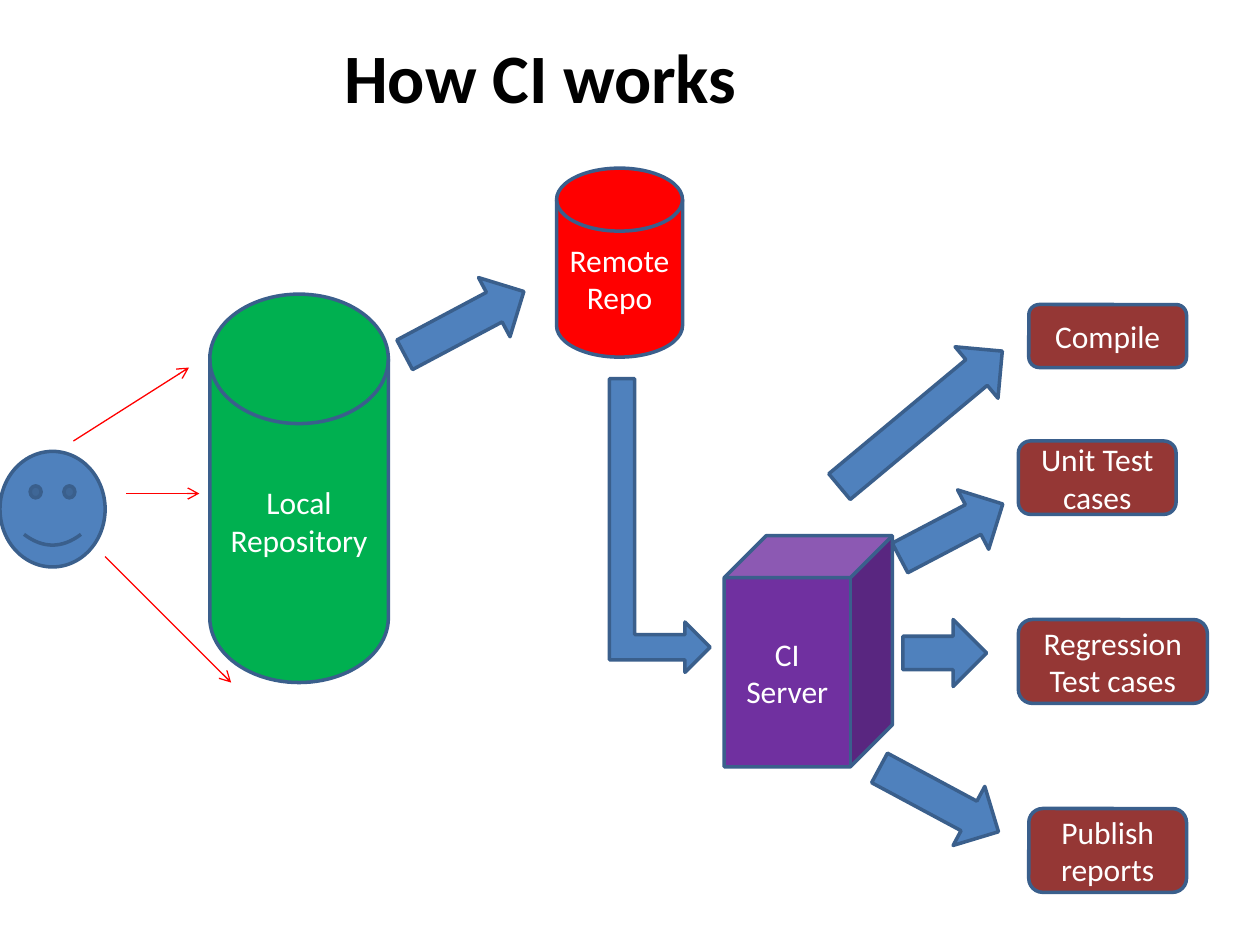
from dataclasses import dataclass
from lxml import etree
from pptx import Presentation, util as u
from pptx.dml.color import RGBColor
from pptx.enum import shapes, text
from pptx.oxml.ns import qn


@dataclass
class Theme:
    font: str = "Calibri"
    title_size: float = 39.6
    body_size: float = 18
    black: str = "000000"
    white: str = "FFFFFF"
    blue: str = "4F81BD"
    outline: str = "3A5F8C"
    green: str = "00B050"
    red: str = "FF0000"
    purple: str = "7030A0"
    maroon: str = "953735"


def write(sp, label, size, color, bold=False):
    tf = sp.text_frame
    tf.word_wrap = True
    tf.vertical_anchor = text.MSO_ANCHOR.MIDDLE
    p = tf.paragraphs[0]
    p.alignment = text.PP_ALIGN.CENTER
    r = p.add_run()
    r.text = label
    r.font.name = theme.font
    r.font.size = u.Pt(size)
    r.font.bold = bold
    r.font.color.rgb = RGBColor.from_string(color)


def add_block(kind, box, fill, label="", rotation=0):
    sp = s.shapes.add_shape(kind, *map(u.Cm, box))
    sp.shadow.inherit = False
    sp.rotation = rotation
    sp.fill.solid()
    sp.fill.fore_color.rgb = RGBColor.from_string(fill)
    sp.line.color.rgb = RGBColor.from_string(theme.outline)
    sp.line.width = u.Pt(2)
    if label:
        write(sp, label, theme.body_size, theme.white)


theme = Theme()
shape = shapes.MSO_SHAPE
prs = Presentation()
prs.slide_width, prs.slide_height = u.Cm(25.4), u.Cm(19.05)
s = prs.slides.add_slide(prs.slide_layouts[6])

title = s.shapes.add_textbox(u.Cm(2.74), u.Cm(0.64), u.Cm(16.31), u.Cm(1.78))
write(title, "How CI works", theme.title_size, theme.black, bold=True)

disk = shape.FLOWCHART_MAGNETIC_DISK
add_block(shape.SMILEY_FACE, (0, 9.1, 2.12, 2.33), theme.blue)
add_block(disk, (4.23, 5.93, 3.6, 7.83), theme.green, "Local Repository")
add_block(disk, (11.22, 3.39, 2.54, 3.81), theme.red, "Remote Repo")
add_block(shape.CUBE, (14.6, 10.8, 3.39, 4.66), theme.purple, "CI Server")

for label, box in [
    ("Compile", (20.74, 6.14, 3.18, 1.27)),
    ("Unit Test cases", (20.53, 8.89, 3.18, 1.48)),
    ("Regression Test cases", (20.53, 12.49, 3.81, 1.69)),
    ("Publish reports", (20.74, 16.3, 3.18, 1.69)),
]:
    add_block(shape.ROUNDED_RECTANGLE, box, theme.maroon, label)

for ends in [
    (1.48, 8.89, 3.81, 7.41),
    (2.12, 11.22, 4.66, 13.76),
    (2.54, 9.95, 4.02, 9.95),
]:
    cx = s.shapes.add_connector(shapes.MSO_CONNECTOR.STRAIGHT, *map(u.Cm, ends))
    cx.line.color.rgb = RGBColor.from_string(theme.red)
    cx.line.width = u.Pt(0.75)
    etree.SubElement(cx.line._get_or_add_ln(), qn("a:tailEnd"), type="arrow")
    etree.SubElement(cx._element.spPr, qn("a:effectLst"))

add_block(shape.BENT_UP_ARROW, (10.34, 9.58, 5.92, 2.03), theme.blue, rotation=90)

arrow_height = 1.35
for left, top, length, rotation in [
    (8, 5.84, 2.72, 332),
    (16.43, 7.77, 4.27, 320.2),
    (18.01, 10.03, 2.34, 332.3),
    (18.2, 12.49, 1.69, 0),
    (17.57, 15.45, 2.72, 28.2),
]:
    box = (left, top, length, arrow_height)
    add_block(shape.RIGHT_ARROW, box, theme.blue, rotation=rotation)

prs.save("out.pptx")
